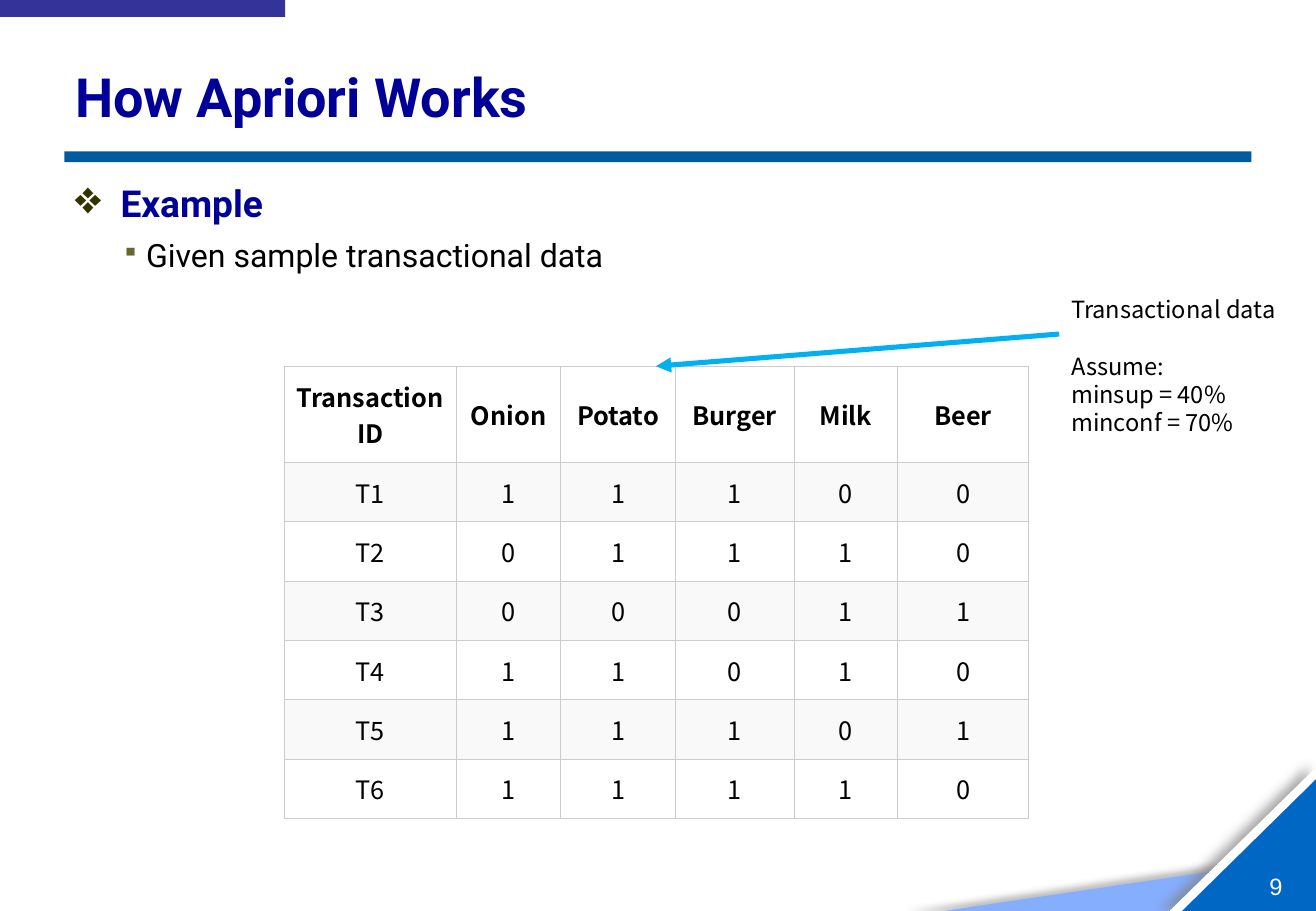
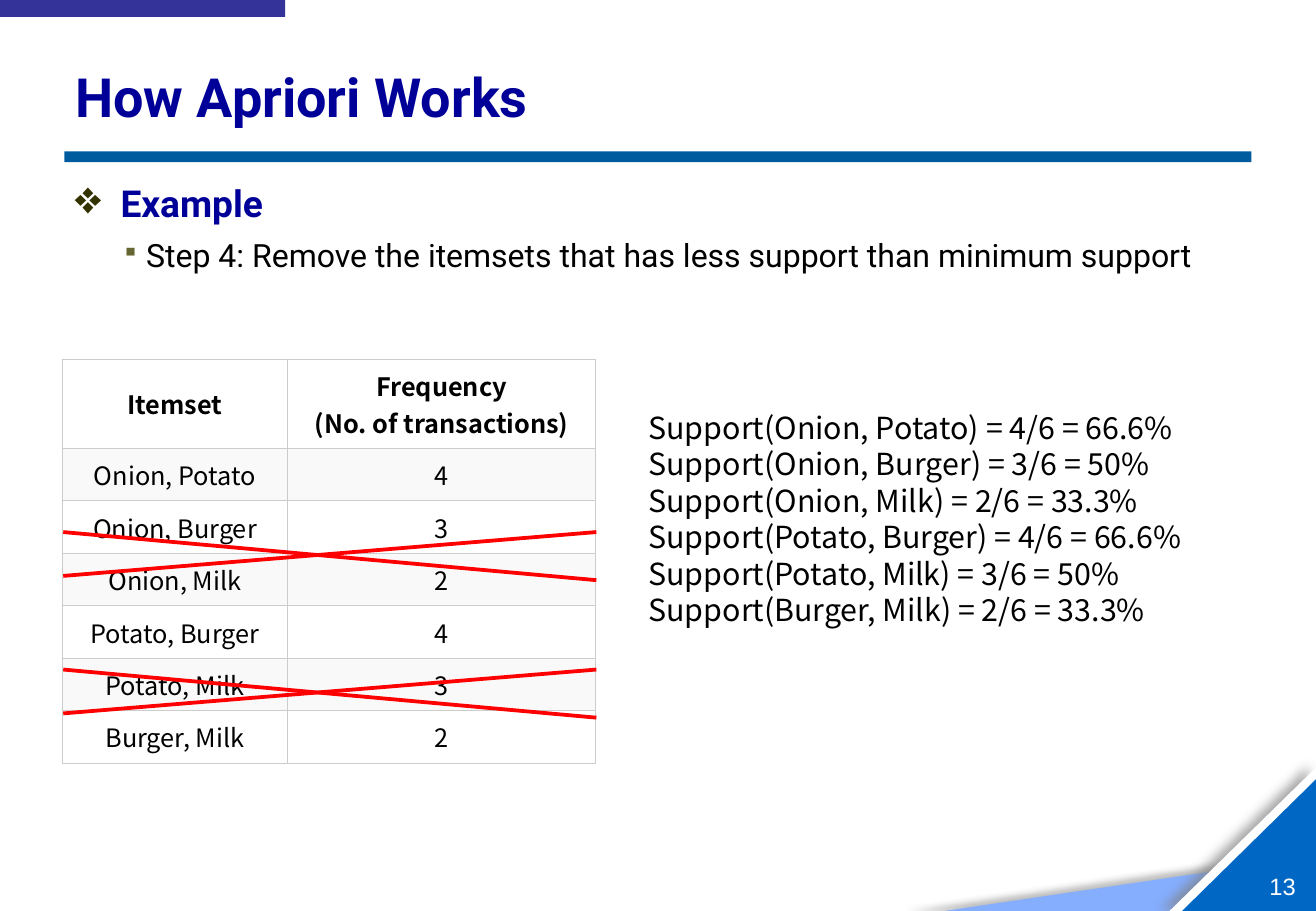
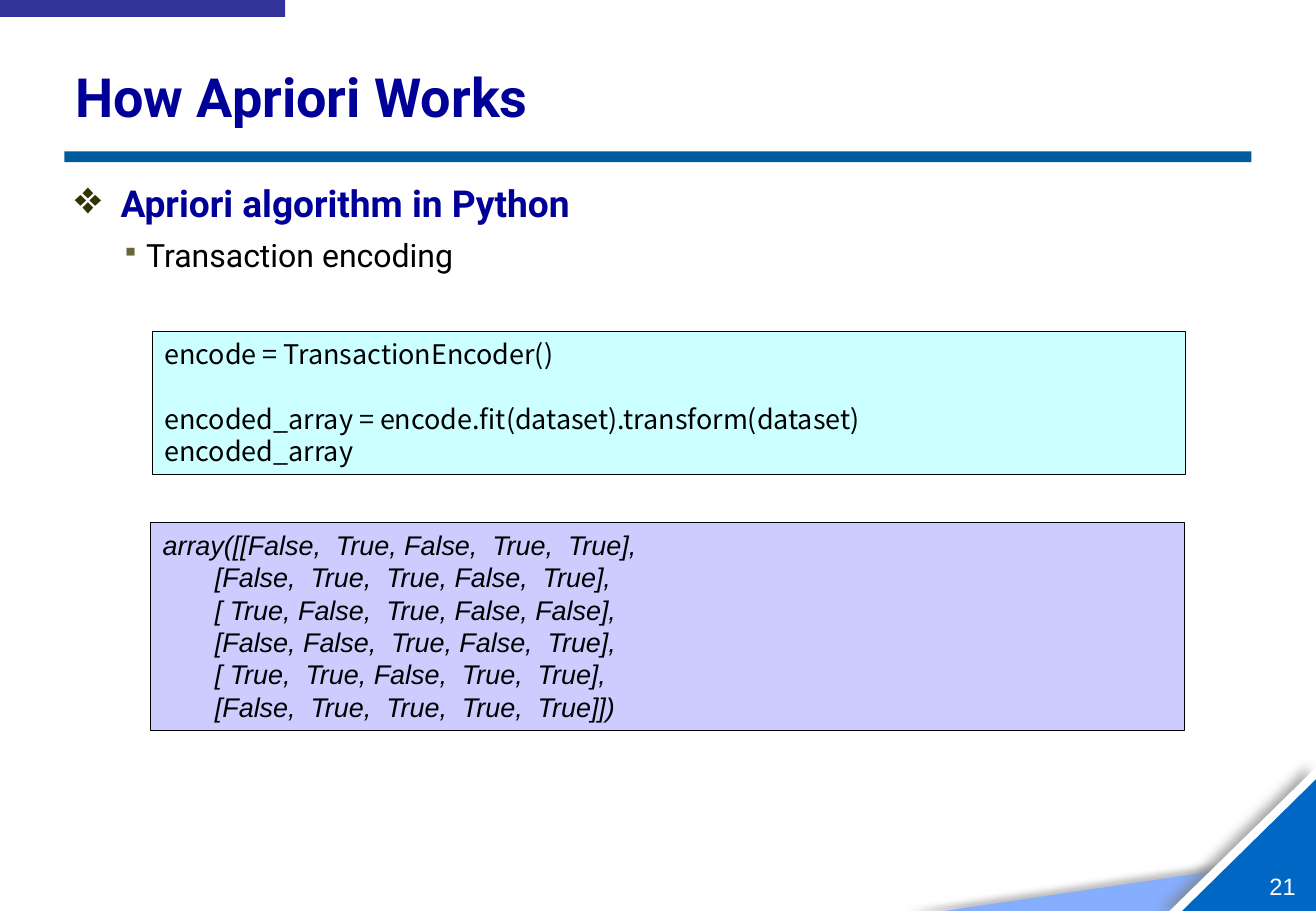
from lxml import etree
from pptx import Presentation
from pptx.dml.color import RGBColor
from pptx.enum import shapes, text
from pptx.oxml import ns
from pptx.util import Pt

NAVY = RGBColor(0x00, 0x00, 0x99)
INDIGO = RGBColor(0x33, 0x33, 0x99)
RULE_BLUE = RGBColor(0x00, 0x5A, 0x9E)
CORNER_BLUE = RGBColor(0x00, 0x67, 0xC4)
PALE_BLUE = RGBColor(0x85, 0xAE, 0xFF)
SKY = RGBColor(0x00, 0xB0, 0xF0)
CYAN = RGBColor(0xCC, 0xFF, 0xFF)
LILAC = RGBColor(0xCC, 0xCC, 0xFF)
RED = RGBColor(0xFF, 0x00, 0x00)
BLACK = RGBColor(0x00, 0x00, 0x00)
WHITE = RGBColor(0xFF, 0xFF, 0xFF)
STRIPE = RGBColor(0xF9, 0xF9, 0xF9)
GRID = RGBColor(0xCC, 0xCC, 0xCC)
DARK_OLIVE = RGBColor(0x33, 0x33, 0x00)
OLIVE = RGBColor(0x66, 0x66, 0x33)
DARK_GREY = RGBColor(0x59, 0x59, 0x59)
GREY = RGBColor(0x80, 0x80, 0x80)

HEAD, SANS, ARIAL = "Roboto", "Noto Sans CJK KR", "Arial"
RECT = shapes.MSO_SHAPE.RECTANGLE
CORNER = shapes.MSO_SHAPE.RIGHT_TRIANGLE


def add_xml(parent, tag, **attrs):
    return etree.SubElement(parent, ns.qn(tag), {k: str(v) for k, v in attrs.items()})


def add_color(parent, color):
    return add_xml(add_xml(parent, "a:solidFill"), "a:srgbClr", val=color)


class Deck:
    def __init__(self):
        self.prs = Presentation()
        self.prs.slide_width, self.prs.slide_height = Pt(780), Pt(540)
        self.slide = None

    def new_slide(self, number, heading, point):
        """Start a slide with the shared decoration, title and two bullet levels."""
        self.slide = self.prs.slides.add_slide(self.prs.slide_layouts[6])
        self.corner(559.5, 507.5, PALE_BLUE, (DARK_GREY, 40, 4, 22, 180))
        self.corner(693.2, 455, WHITE, (GREY, 69, 7, 5, 190))
        self.corner(700.7, 462, CORNER_BLUE)
        self.shape(RECT, 38.2, 89.7, 703.5, 6.4, RULE_BLUE)
        self.shape(RECT, 0, 0, 169, 10, INDIGO)
        tf = self.text_frame(752.4, 517, 18, 17, text.MSO_ANCHOR.MIDDLE)
        tf.margin_left = tf.margin_right = tf.margin_top = tf.margin_bottom = 0
        tf.word_wrap = False
        self.run(tf.paragraphs[0], str(number), 14, ARIAL, WHITE)
        tf = self.text_frame(37.5, 29, 703.5, 56, text.MSO_ANCHOR.MIDDLE)
        self.run(tf.paragraphs[0], "How Apriori Works", 32, HEAD, NAVY, bold=True)
        tf = self.text_frame(37.4, 103.5, 703.5, 413)
        p = tf.paragraphs[0]
        self.bullet(p, "❖", DARK_OLIVE, 27, 27, 125)
        self.run(p, heading, 22, HEAD, NAVY, bold=True)
        p = tf.add_paragraph()
        p.space_before, p.space_after, p.line_spacing = Pt(4), Pt(1), 1.1
        self.bullet(p, "▪", OLIVE, 42.2, 14.5, 75)
        self.run(p, point, 19, HEAD)

    def shape(self, kind, x, y, w, h, fill, line=None):
        sp = self.slide.shapes.add_shape(kind, Pt(x), Pt(y), Pt(w), Pt(h))
        sp.shadow.inherit = False
        sp.fill.solid()
        sp.fill.fore_color.rgb = fill
        if line is None:
            sp.line.fill.background()
        else:
            sp.line.color.rgb = line
            sp.line.width = Pt(0.75)
        return sp

    def corner(self, x, y, fill, shadow=None):
        """Triangle filling the bottom right corner from (x, y)."""
        sp = self.shape(CORNER, x, y, 780 - x, 540 - y, fill)
        pr = sp.element.spPr
        pr.get_or_add_xfrm().set("flipH", "1")
        if shadow:
            color, alpha, blur, dist, angle = shadow
            outer = add_xml(pr.find(ns.qn("a:effectLst")), "a:outerShdw",
                            blurRad=Pt(blur), dist=Pt(dist), dir=angle * 60000,
                            rotWithShape=0)
            clr = add_xml(outer, "a:srgbClr", val=color)
            add_xml(clr, "a:alpha", val=alpha * 1000)

    def text_frame(self, x, y, w, h, anchor=text.MSO_ANCHOR.TOP):
        tf = self.slide.shapes.add_textbox(Pt(x), Pt(y), Pt(w), Pt(h)).text_frame
        tf.word_wrap = True
        tf.vertical_anchor = anchor
        return tf

    def run(self, p, words, size, font, color=BLACK, bold=False, italic=False):
        r = p.add_run()
        r.text = words
        r.font.size, r.font.name = Pt(size), font
        r.font.bold, r.font.italic = bold, italic
        r.font.color.rgb = color

    def bullet(self, p, char, color, left, hanging, percent):
        ppr = p._p.get_or_add_pPr()
        ppr.set("marL", str(Pt(left)))
        ppr.set("indent", str(-Pt(hanging)))
        add_xml(add_xml(ppr, "a:buClr"), "a:srgbClr", val=color)
        add_xml(ppr, "a:buSzPct", val=percent * 1000)
        add_xml(ppr, "a:buChar", char=char)

    def lines(self, tf, rows, size, font=SANS, gap_before=None, italic=False, indent=0):
        """One paragraph per row; a line's gap before one row, an indent after the first."""
        for i, words in enumerate(rows):
            p = tf.paragraphs[0] if i == 0 else tf.add_paragraph()
            p.alignment = text.PP_ALIGN.LEFT
            p.line_spacing = Pt(size * 1.2)
            if i == gap_before:
                p.space_before = Pt(size * 1.2)
            if i and indent:
                p._p.get_or_add_pPr().set("marL", str(Pt(indent)))
            self.run(p, words, size, font, italic=italic)

    def note(self, x, y, w, h, rows, size, **style):
        self.lines(self.text_frame(x, y, w, h), rows, size, **style)

    def code_box(self, x, y, w, h, fill, rows, **style):
        tf = self.shape(RECT, x, y, w, h, fill, BLACK).text_frame
        tf.word_wrap = True
        tf.vertical_anchor = text.MSO_ANCHOR.TOP
        self.lines(tf, rows, 16, **style)

    def line(self, x1, y1, x2, y2, color, width, arrow=False):
        cx = self.slide.shapes.add_connector(
            shapes.MSO_CONNECTOR.STRAIGHT, Pt(x1), Pt(y1), Pt(x2), Pt(y2))
        cx.line.color.rgb = color
        cx.line.width = Pt(width)
        if arrow:
            add_xml(cx.line._get_or_add_ln(), "a:tailEnd", type="triangle")
        add_xml(cx._element.spPr, "a:effectLst")

    def cross_out(self, y):
        """Red cross over the table, its upper ends at y."""
        self.line(37.5, y + 26, 353.5, y, RED, 2.25)
        self.line(37.5, y, 353.5, y + 28.5, RED, 2.25)

    def table(self, x, y, widths, head_height, row_height, margin, rows):
        heights = [head_height] + [row_height] * (len(rows) - 1)
        tbl = self.slide.shapes.add_table(
            len(rows), len(widths), Pt(x), Pt(y), Pt(sum(widths)), Pt(sum(heights))).table
        tbl.first_row = tbl.horz_banding = False
        for col, w in zip(tbl.columns, widths):
            col.width = Pt(w)
        for i, row in enumerate(rows):
            tbl.rows[i].height = Pt(heights[i])
            for j, value in enumerate(row):
                self.cell(tbl.cell(i, j), value, margin, i == 0, STRIPE if i % 2 else WHITE)

    def cell(self, cell, value, margin, bold, fill):
        cell.margin_left = cell.margin_right = Pt(margin)
        cell.margin_top = cell.margin_bottom = Pt(margin)
        cell.vertical_anchor = text.MSO_ANCHOR.MIDDLE
        for side in "LRTB":
            ln = add_xml(cell._tc.get_or_add_tcPr(), f"a:ln{side}", w=Pt(0.75))
            add_color(ln, GRID)
        cell.fill.solid()
        cell.fill.fore_color.rgb = fill
        tf = cell.text_frame
        for i, words in enumerate(str(value).split("\n")):
            p = tf.paragraphs[0] if i == 0 else tf.add_paragraph()
            p.alignment = text.PP_ALIGN.CENTER
            self.run(p, words, 15, SANS, bold=bold)


def sample_data(deck):
    deck.new_slide(9, "Example", "Given sample transactional data")
    deck.table(168.5, 217.1, [102, 61.9, 67.9, 70.6, 61.2, 77.6], 57, 35.2, 6.7, [
        ("Transaction ID", "Onion", "Potato", "Burger", "Milk", "Beer"),
        ("T1", 1, 1, 1, 0, 0),
        ("T2", 0, 1, 1, 1, 0),
        ("T3", 0, 0, 0, 1, 1),
        ("T4", 1, 1, 0, 1, 0),
        ("T5", 1, 1, 1, 0, 1),
        ("T6", 1, 1, 1, 1, 0),
    ])
    deck.note(627.8, 171.2, 142, 92, [
        "Transactional data", "Assume:", "minsup = 40%", "minconf = 70%",
    ], 14, gap_before=1)
    deck.line(627.8, 198, 388.8, 217.1, SKY, 3, arrow=True)


def remove_itemsets(deck):
    deck.new_slide(13, "Example",
                   "Step 4: Remove the itemsets that has less support than minimum support")
    deck.table(36.9, 213, [133.6, 182.5], 52.8, 31.1, 4.7, [
        ("Itemset", "Frequency\n(No. of transactions)"),
        ("Onion, Potato", 4),
        ("Onion, Burger", 3),
        ("Onion, Milk", 2),
        ("Potato, Burger", 4),
        ("Potato, Milk", 3),
        ("Burger, Milk", 2),
    ])
    deck.note(377.3, 239, 339, 160, [
        "Support(Onion, Potato) = 4/6 = 66.6%",
        "Support(Onion, Burger) = 3/6 = 50%",
        "Support(Onion, Milk) = 2/6 = 33.3%",
        "Support(Potato, Burger) = 4/6 = 66.6%",
        "Support(Potato, Milk) = 3/6 = 50%",
        "Support(Burger, Milk) = 2/6 = 33.3%",
    ], 18)
    for y in (315.4, 396.9):
        deck.cross_out(y)


def encoding(deck):
    deck.new_slide(21, "Apriori algorithm in Python", "Transaction encoding")
    deck.code_box(90.5, 196.6, 612, 84.8, CYAN, [
        "encode = TransactionEncoder()",
        "encoded_array = encode.fit(dataset).transform(dataset)",
        "encoded_array",
    ], gap_before=1)
    deck.code_box(89.3, 309.6, 612.6, 123.5, LILAC, [
        "array([[False,  True, False,  True,  True],",
        "[False,  True,  True, False,  True],",
        "[ True, False,  True, False, False],",
        "[False, False,  True, False,  True],",
        "[ True,  True, False,  True,  True],",
        "[False,  True,  True,  True,  True]])",
    ], font=ARIAL, italic=True, indent=31)


def main():
    deck = Deck()
    sample_data(deck)
    remove_itemsets(deck)
    encoding(deck)
    deck.prs.save("out.pptx")


if __name__ == "__main__":
    main()
